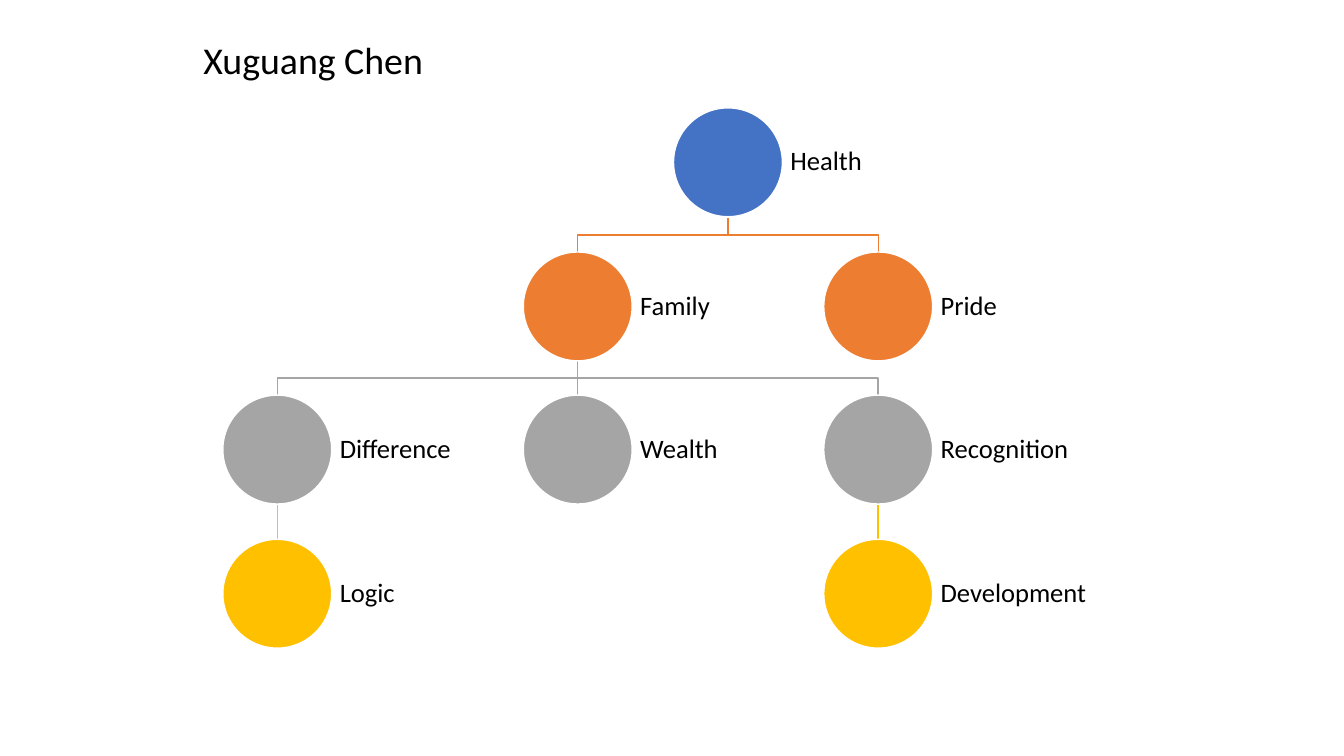
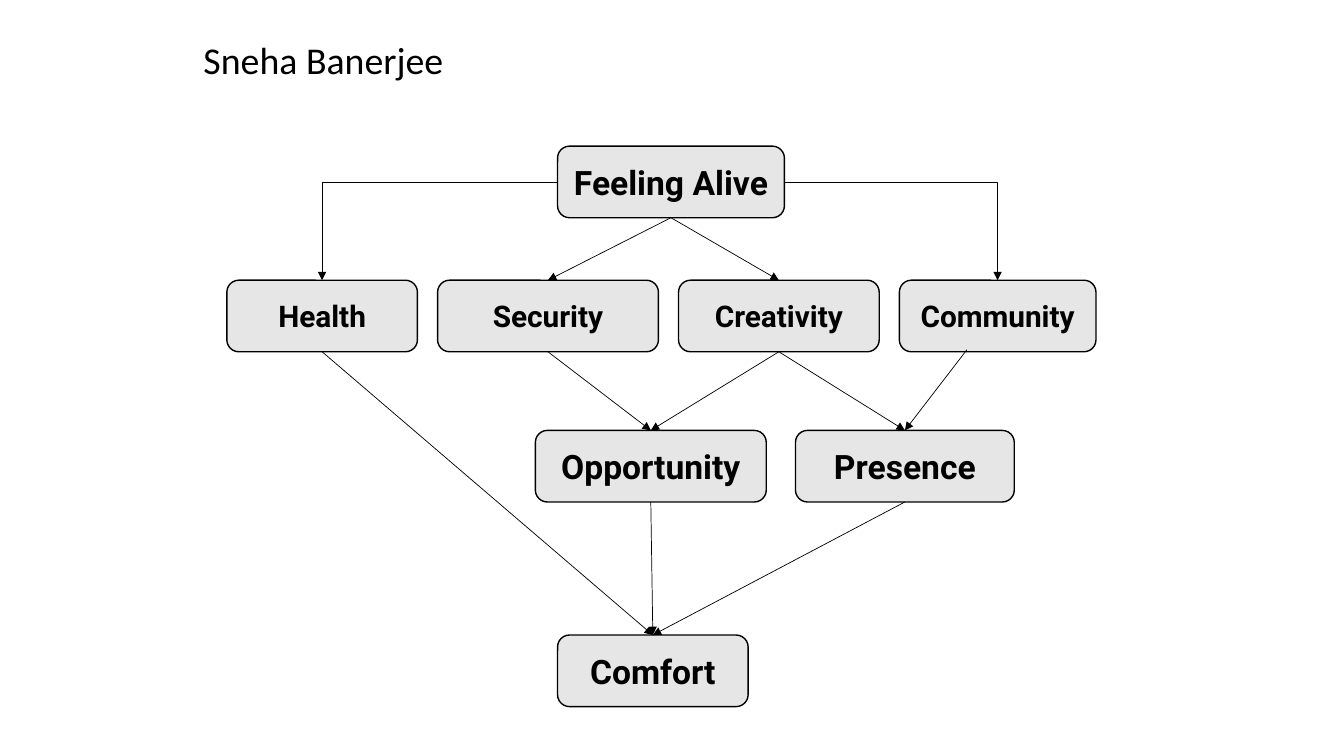
from lxml import etree
from pptx import Presentation
from pptx import util as u
from pptx.dml.color import RGBColor
from pptx.enum import shapes, text
from pptx.oxml.ns import qn

PX = 9144
COLORS = {
    "ink": "000000",
    "paper": "FFFFFF",
    "box": "E7E6E6",
    "level0": "4472C4",
    "level1": "ED7D31",
    "level2": "A5A5A5",
    "level3": "FFC000",
}
TITLE_BOX = (192, 32, 786, 53)
TOP, LEFT, BOTTOM, RIGHT = range(4)

TREE = {
    "Health": (1.5, 0, None),
    "Family": (1, 1, "Health"),
    "Pride": (2, 1, "Health"),
    "Difference": (0, 2, "Family"),
    "Wealth": (1, 2, "Family"),
    "Recognition": (2, 2, "Family"),
    "Logic": (0, 3, "Difference"),
    "Development": (2, 3, "Recognition"),
}
FLOW_BOXES = {
    "Feeling Alive": (328, 0, 225, 24),
    "Health": (0, 133, 189, 21.3),
    "Security": (209, 133, 219, 21.3),
    "Creativity": (448, 133, 199, 21.3),
    "Community": (667, 133, 195, 21.3),
    "Opportunity": (306, 282, 229, 24),
    "Presence": (564, 282, 217, 24),
    "Comfort": (328, 485, 189, 24),
}
FLOW_LINKS = [
    ("Feeling Alive", "Security"),
    ("Feeling Alive", "Creativity"),
    ("Security", "Opportunity"),
    ("Creativity", "Opportunity"),
    ("Creativity", "Presence"),
    ("Health", "Comfort"),
    ("Opportunity", "Comfort"),
    ("Presence", "Comfort"),
]


def px(*values):
    return [u.Emu(round(v * PX)) for v in values]


def rgb(name):
    return RGBColor.from_string(COLORS[name])


def set_line(sp, color, width):
    sp.line.color.rgb = rgb(color)
    sp.line.width = u.Pt(width)


def write(sp, words, size, font="Calibri", bold=False, align=None, spacing=None):
    tf = sp.text_frame
    tf.word_wrap = True
    tf.vertical_anchor = text.MSO_ANCHOR.MIDDLE
    p = tf.paragraphs[0]
    p.alignment = align
    p.line_spacing = spacing
    r = p.add_run()
    r.text = words
    r.font.name = font
    r.font.size = u.Pt(size)
    r.font.bold = bold
    r.font.color.rgb = rgb("ink")
    return tf


def add_solid(s, kind, box, fill, line):
    sp = s.shapes.add_shape(kind, *px(*box))
    sp.shadow.inherit = False
    sp.fill.solid()
    sp.fill.fore_color.rgb = rgb(fill)
    set_line(sp, line, 1)
    return sp


def add_line(s, start, end, color, width, kind=shapes.MSO_CONNECTOR.STRAIGHT):
    c = s.shapes.add_connector(kind, *px(*start, *end))
    set_line(c, color, width)
    etree.SubElement(c._element.spPr, qn("a:effectLst"))
    return c


def add_arrow(s, start=(0, 0), end=(0, 0), bent=False):
    kinds = shapes.MSO_CONNECTOR
    c = add_line(s, start, end, "ink", 0.5, kinds.ELBOW if bent else kinds.STRAIGHT)
    if bent:
        c._element.spPr.find(qn("a:prstGeom")).set("prst", "bentConnector2")
    etree.SubElement(c.line._get_or_add_ln(), qn("a:tailEnd"), type="triangle")
    return c


def add_slide(prs, title):
    s = prs.slides.add_slide(prs.slide_layouts[6])
    write(s.shapes.add_textbox(*px(*TITLE_BOX)), title, 27)
    return s


def add_branch(s, start, end, color):
    if start[0] == end[0]:
        add_line(s, start, end, color, 1)
        return
    mid = (start[1] + end[1]) / 2
    fb = s.shapes.build_freeform(*start, scale=PX)
    fb.add_line_segments([(start[0], mid), (end[0], mid), end], close=False)
    sp = fb.convert_to_shape()
    sp.shadow.inherit = False
    sp.fill.background()
    set_line(sp, color, 1)


def add_tree(s, x, y, w, h):
    size, gap = 108, 34
    label_w = 162
    col_step = (w - size - label_w) / 2
    row_step = (h - size) / 3
    spots = {
        name: (round(x + col * col_step), round(y + row * row_step))
        for name, (col, row, parent) in TREE.items()
    }
    for name, (col, row, parent) in TREE.items():
        if parent:
            cx, cy = spots[name]
            start = (spots[parent][0] + size // 2, cy - gap)
            add_branch(s, start, (cx + size // 2, cy), f"level{row}")
    for name, (left, top) in spots.items():
        add_solid(s, shapes.MSO_SHAPE.OVAL, (left, top, size, size),
                  f"level{TREE[name][1]}", "paper")
        label = s.shapes.add_textbox(*px(left + size, top, label_w, size))
        tf = write(label, name, 19, spacing=0.9)
        tf.margin_left = tf.margin_right = tf.margin_top = tf.margin_bottom = px(8)[0]


def add_flow(s, x, y):
    boxes = {}
    for name, (left, top, w, size) in FLOW_BOXES.items():
        sp = add_solid(s, shapes.MSO_SHAPE.ROUNDED_RECTANGLE,
                       (x + left, y + top, w, 71), "box", "ink")
        write(sp, name, size, "Roboto", True, text.PP_ALIGN.CENTER)
        boxes[name] = sp
    for source, target in FLOW_LINKS:
        c = add_arrow(s)
        c.begin_connect(boxes[source], BOTTOM)
        c.end_connect(boxes[target], TOP)
    for side, target in ((LEFT, "Health"), (RIGHT, "Community")):
        c = add_arrow(s, bent=True)
        c.begin_connect(boxes["Feeling Alive"], side)
        c.end_connect(boxes[target], TOP)
    c = add_arrow(s, (x + 734, y + 202))
    c.end_connect(boxes["Presence"], TOP)


def main():
    prs = Presentation()
    prs.slide_width, prs.slide_height = px(1333, 750)
    add_tree(add_slide(prs, "Xuguang Chen"), 221, 107, 866, 536)
    add_flow(add_slide(prs, "Sneha Banerjee"), 225, 145)
    prs.save("out.pptx")


if __name__ == "__main__":
    main()
